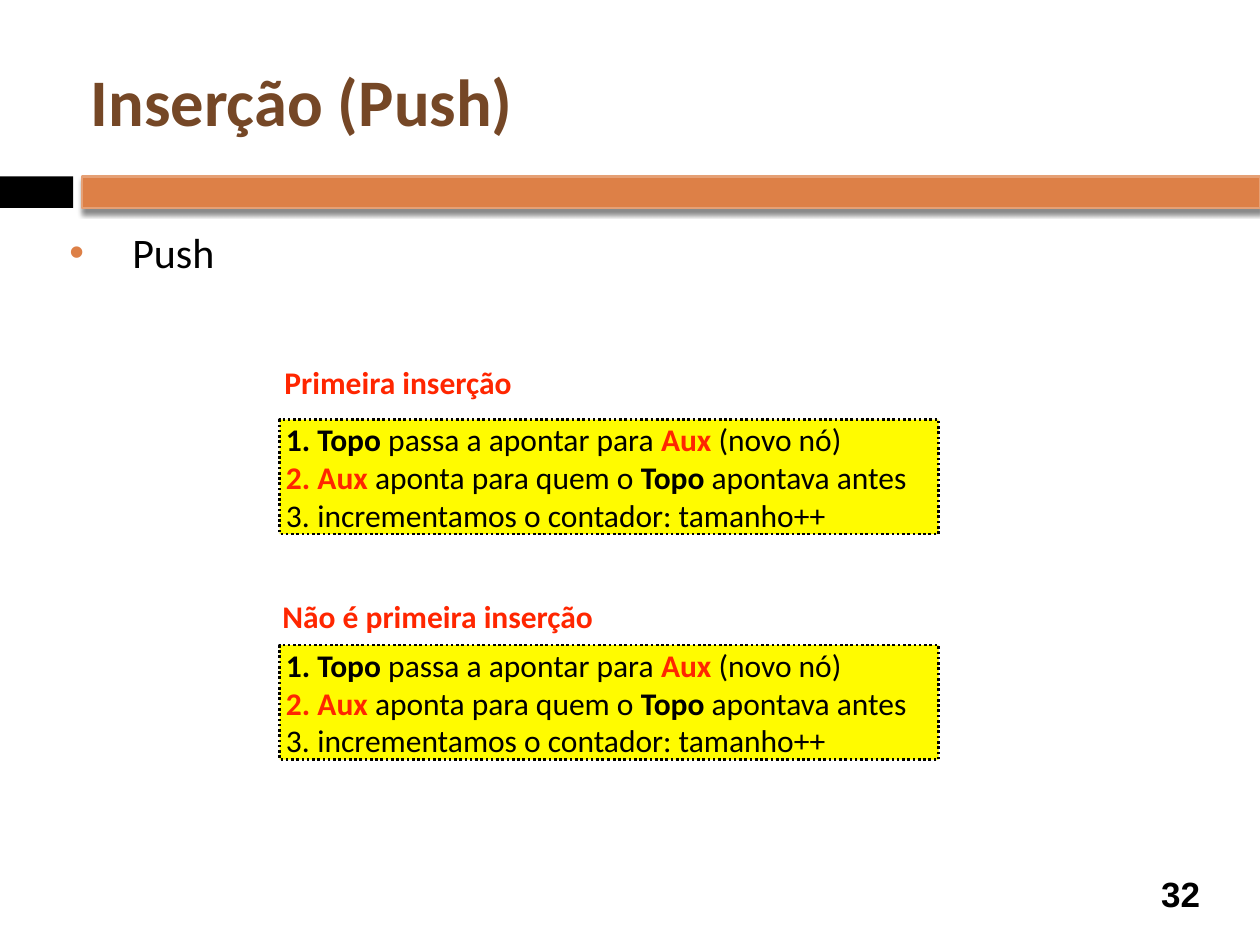
from lxml.etree import SubElement
from pptx import Presentation
from pptx.dml.color import RGBColor as RGB
from pptx.enum.dml import MSO_LINE as Dash
from pptx.enum.shapes import MSO_SHAPE as Shape
from pptx.enum.text import MSO_ANCHOR as Anchor, MSO_AUTO_SIZE as AutoSize, PP_ALIGN as Align
from pptx.oxml.ns import qn
from pptx.util import Inches, Pt


class Theme:
    black, red, brown = "000000", "FF2600", "754726"
    orange, orange_edge, yellow = "DD8047", "E5A075", "FFFB00"
    font, number_font = "Calibri", "Arial"
    title, body, number, step = 38, 24, 20, 18


CELL = 0.1  # grid of 100 columns by 75 rows, in inches
STEPS = [
    [("Topo", True, Theme.black), (" passa a apontar para ", False, Theme.black),
     ("Aux", True, Theme.red), (" (novo nó)", False, Theme.black)],
    [("Aux", True, Theme.red), (" aponta para quem o ", False, Theme.black),
     ("Topo", True, Theme.black), (" apontava antes", False, Theme.black)],
    [("incrementamos o contador: tamanho++", False, Theme.black)],
]


class SlideBuilder:
    def __init__(self, prs, theme):
        self.theme = theme
        self.slide = prs.slides.add_slide(prs.slide_layouts[5])

    def grid(self, *cells):
        return [Inches(c * CELL) for c in cells]

    def frame(self, sp, **values):
        tf = sp.text_frame
        values = {"word_wrap": True, "auto_size": AutoSize.NONE,
                  "vertical_anchor": Anchor.TOP} | values
        for side in ("left", "top", "right", "bottom"):
            values[f"margin_{side}"] = Inches(0.05)
        for name, value in values.items():
            setattr(tf, name, value)
        return tf

    def run(self, p, text, size, color, bold=False, font=None):
        r = p.add_run()
        r.text = text
        values = {"name": font or self.theme.font, "size": Pt(size), "bold": bold}
        for name, value in values.items():
            setattr(r.font, name, value)
        r.font.color.rgb = RGB.from_string(color)

    def bullet(self, p, indent, char=None, color=None):
        pPr = p._p.get_or_add_pPr()
        pPr.set("marL", str(Inches(indent)))
        pPr.set("indent", str(-Inches(indent)))
        if color:
            SubElement(SubElement(pPr, qn("a:buClr")), qn("a:srgbClr"), val=color)
        if char:
            SubElement(pPr, qn("a:buFont"), typeface="Arial")
            SubElement(pPr, qn("a:buChar"), char=char)
        else:
            SubElement(pPr, qn("a:buFont"), typeface="+mj-lt")
            SubElement(pPr, qn("a:buAutoNum"), type="arabicPeriod")

    def title(self, cells, text):
        sp = self.slide.shapes.title
        for name, value in zip(("left", "top", "width", "height"), self.grid(*cells)):
            setattr(sp, name, value)
        p = self.frame(sp, vertical_anchor=Anchor.MIDDLE).paragraphs[0]
        p.alignment = Align.LEFT
        self.run(p, text, self.theme.title, self.theme.brown, True)

    def text(self, cells, text, size, color, bold=False, font=None,
             align=Align.LEFT, bullet=None, **frame):
        sp = self.slide.shapes.add_textbox(*self.grid(*cells))
        p = self.frame(sp, **frame).paragraphs[0]
        p.alignment = align
        if bullet:
            self.bullet(p, 0.5, bullet, self.theme.orange)
        self.run(p, text, size, color, bold, font)

    def box(self, cells, fill, line=None, dash=None):
        sp = self.slide.shapes.add_shape(Shape.RECTANGLE, *self.grid(*cells))
        sp.shadow.inherit = False
        sp.fill.solid()
        sp.fill.fore_color.rgb = RGB.from_string(fill)
        if line:
            sp.line.color.rgb = RGB.from_string(line)
            sp.line.width = Pt(1.5)
            if dash:
                sp.line.dash_style = dash
        else:
            sp.line.fill.background()
        return sp

    def drop_shadow(self, sp):
        effects = sp._element.spPr.find(qn("a:effectLst"))
        shadow = SubElement(effects, qn("a:outerShdw"), blurRad=str(Pt(3)),
                            dist=str(Pt(2.4)), dir=str(90 * 60000), rotWithShape="0")
        color = SubElement(shadow, qn("a:srgbClr"), val=self.theme.black)
        SubElement(color, qn("a:alpha"), val="45000")

    def steps(self, cells, steps):
        t = self.theme
        sp = self.box(cells, t.yellow, t.black, Dash.ROUND_DOT)
        tf = self.frame(sp, vertical_anchor=Anchor.MIDDLE)
        for i, step in enumerate(steps):
            p = tf.add_paragraph() if i else tf.paragraphs[0]
            p.alignment = Align.LEFT
            self.bullet(p, 0.25)
            for text, bold, color in step:
                self.run(p, text, t.step, color, bold)


def main():
    t = Theme()
    prs = Presentation()
    prs.slide_width, prs.slide_height = Inches(10), Inches(7.5)
    s = SlideBuilder(prs, t)

    # Title and the band below it
    s.title((6.7, 2.5, 89.2, 10.8), "Inserção (Push)")
    s.box((0, 14, 5.8, 2.5), t.black)
    s.drop_shadow(s.box((6.5, 14, 93.5, 2.5), t.orange, t.orange_edge))

    # Topic and slide number
    s.text((5, 17.5, 90, 5.5), "Push", t.body, t.black, bullet="•")
    s.text((90.8, 68.9, 5.8, 4.1), "32", t.number, t.black, True, t.number_font,
           Align.CENTER, vertical_anchor=Anchor.MIDDLE)

    # The two insertion cases, each a heading over its steps
    cases = [("Primeira inserção", (22, 28.3, 19.2, 3.6), 33.3),
             ("Não é primeira inserção", (21.7, 46.9, 26.1, 3.6), 51.2)]
    for heading, cells, top in cases:
        s.text(cells, heading, t.step, t.red, True, align=Align.CENTER,
               word_wrap=False, auto_size=AutoSize.SHAPE_TO_FIT_TEXT)
        s.steps((22.2, top, 52.3, 9.1), STEPS)

    prs.save("out.pptx")


if __name__ == "__main__":
    main()
